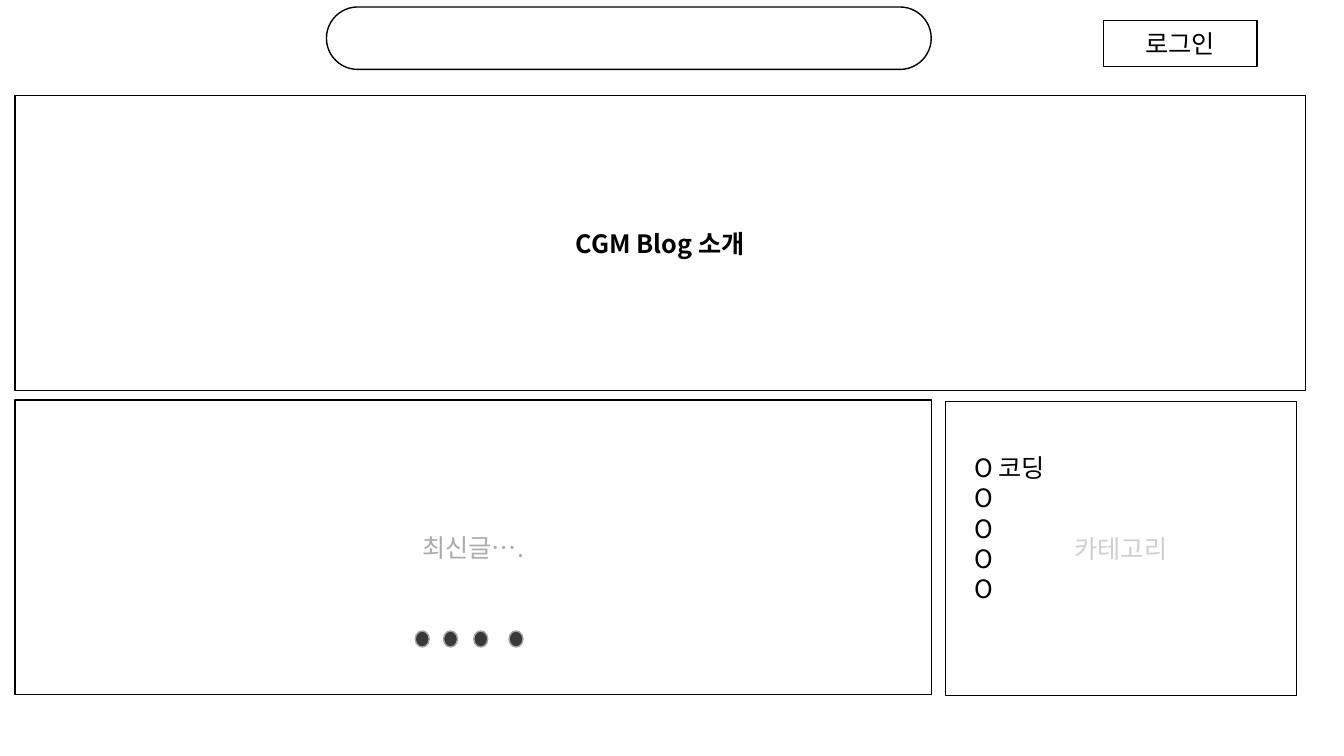
from lxml.etree import SubElement
from pptx import Presentation
from pptx.dml.color import RGBColor
from pptx.enum.shapes import MSO_SHAPE
from pptx.enum.text import MSO_ANCHOR, MSO_AUTO_SIZE, PP_ALIGN
from pptx.oxml.ns import qn
from pptx.util import Pt

FONT = "Noto Sans CJK KR"
BLACK = RGBColor(0x00, 0x00, 0x00)
WHITE = RGBColor(0xFF, 0xFF, 0xFF)
GRAY = RGBColor(0xAF, 0xAB, 0xAB)
PALE_GRAY = RGBColor(0xD0, 0xCE, 0xCE)
DOT_FILL = RGBColor(0x3B, 0x38, 0x38)
DOT_LINE = RGBColor(0xA5, 0xA5, 0xA5)


def write_text(box, text, color=BLACK, bold=False, align=PP_ALIGN.CENTER, anchor=MSO_ANCHOR.MIDDLE):
    frame = box.text_frame
    frame.word_wrap = True
    frame.vertical_anchor = anchor
    frame.text = text
    for para in frame.paragraphs:
        para.alignment = align
        for span in para.runs:
            span.font.size = Pt(18)
            span.font.bold = bold
            span.font.color.rgb = color
            span.font.name = FONT
            SubElement(span._r.get_or_add_rPr(), qn("a:ea"), typeface=FONT)


def add_panel(kind, left, top, width, height, fill=WHITE, line=BLACK):
    panel = page.shapes.add_shape(kind, Pt(left), Pt(top), Pt(width), Pt(height))
    panel.shadow.inherit = False
    panel.fill.solid()
    panel.fill.fore_color.rgb = fill
    panel.line.color.rgb = line
    panel.line.width = Pt(1)
    return panel


deck = Presentation()
deck.slide_width = Pt(960)
deck.slide_height = Pt(540)
page = deck.slides.add_slide(deck.slide_layouts[6])

login_button = add_panel(MSO_SHAPE.RECTANGLE, 788.4, 14.8, 109.4, 32.6)
write_text(login_button, "로그인")

intro_panel = add_panel(MSO_SHAPE.RECTANGLE, 10.8, 68.4, 921.6, 210.6)
write_text(intro_panel, "CGM Blog 소개", bold=True)

latest_panel = add_panel(MSO_SHAPE.RECTANGLE, 10.8, 285.8, 654.4, 210.2)
write_text(latest_panel, "최신글….", color=GRAY)

category_panel = add_panel(MSO_SHAPE.RECTANGLE, 675.4, 286.6, 250.6, 210.2)
write_text(category_panel, "카테고리", color=PALE_GRAY)

search_bar = add_panel(MSO_SHAPE.ROUNDED_RECTANGLE, 233.2, 5, 432, 44.6)
search_bar.adjustments[0] = 0.5

for dot_left in (296.6, 316.8, 338.4, 363.6):
    add_panel(MSO_SHAPE.OVAL, dot_left, 450.7, 10, 11.5, fill=DOT_FILL, line=DOT_LINE)

category_list = page.shapes.add_textbox(Pt(689), Pt(319.7), Pt(223.2), Pt(138.2))
write_text(category_list, "\n".join(["O 코딩"] + ["O"] * 4), align=PP_ALIGN.LEFT, anchor=MSO_ANCHOR.TOP)
category_list.text_frame.auto_size = MSO_AUTO_SIZE.SHAPE_TO_FIT_TEXT

deck.save("out.pptx")
